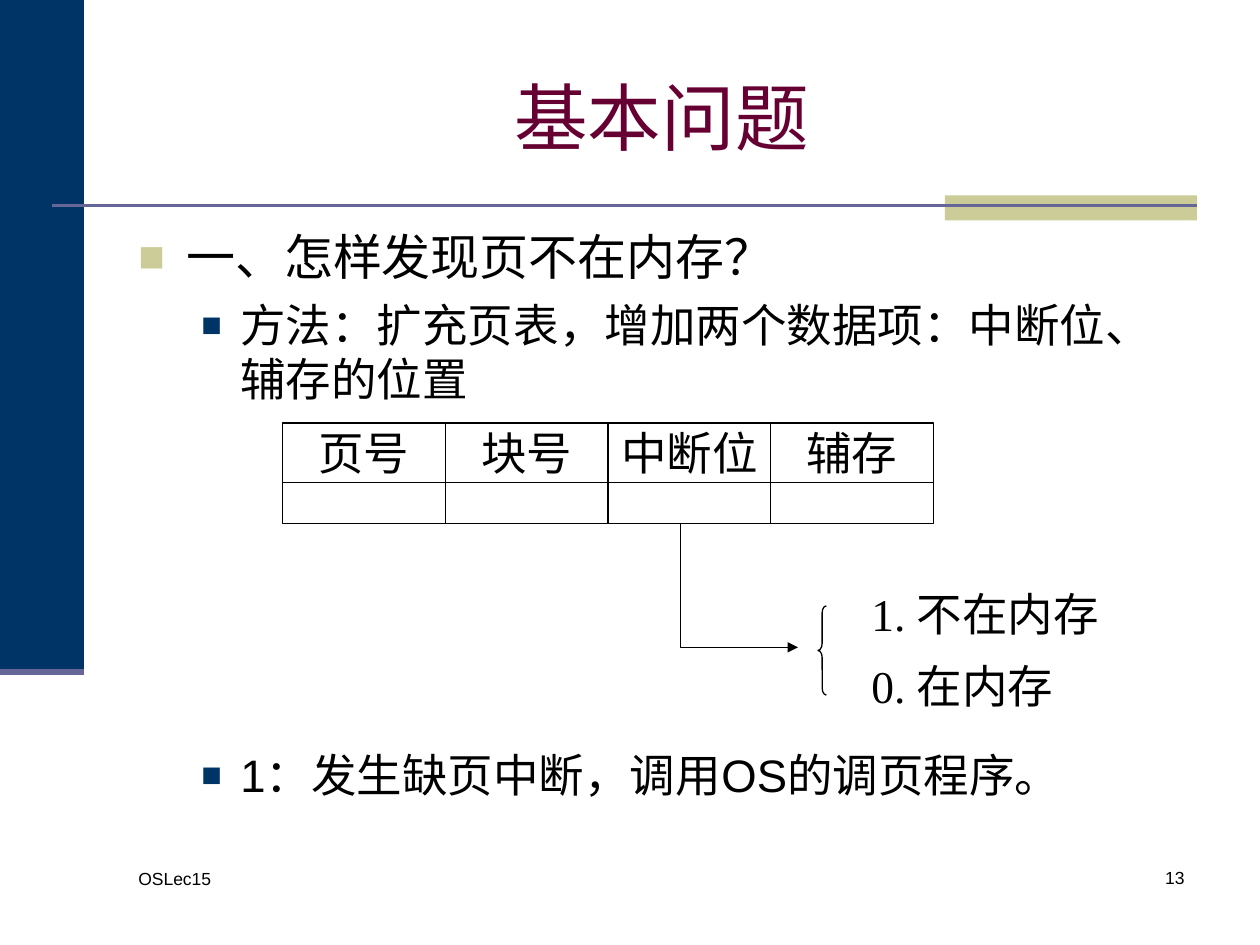
from lxml import etree
from pptx import Presentation, util as u
from pptx.dml.color import RGBColor
from pptx.enum import shapes as sh, text as tx
from pptx.oxml import parse_xml
from pptx.oxml.ns import nsdecls, qn

NAVY = RGBColor(0x00, 0x33, 0x66)
SAND = RGBColor(0xCC, 0xCC, 0x99)
SLATE = RGBColor(0x66, 0x66, 0x99)
WINE = RGBColor(0x66, 0x00, 0x33)
BLACK = RGBColor(0, 0, 0)
SANS, SERIF = "Arial", "Times New Roman"
LEFT, MID, RIGHT = tx.PP_ALIGN.LEFT, tx.PP_ALIGN.CENTER, tx.PP_ALIGN.RIGHT

# Grid of 120 columns by 90 rows
deck = Presentation()
deck.slide_width, deck.slide_height = u.Inches(10), u.Inches(7.5)
slide = deck.slides.add_slide(deck.slide_layouts[6])
draw = slide.shapes


def at(*cells):
    return [u.Inches(c / 12) for c in cells]


def write(para, text, size=26, font=SANS, color=BLACK, align=LEFT,
          gap=0, mark=None, share=100, indent=0, hang=0):
    para.alignment, para.space_before = align, u.Pt(gap)
    run = para.add_run()
    run.text = text
    run.font.size, run.font.name, run.font.color.rgb = u.Pt(size), font, color
    if mark is not None:
        props = para._p.get_or_add_pPr()
        props.set("marL", str(u.Inches(indent)))
        props.set("indent", str(-u.Inches(hang)))
        for part in (f'<a:buClr {nsdecls("a")}><a:srgbClr val="{mark}"/></a:buClr>',
                     f'<a:buSzPct {nsdecls("a")} val="{share * 1000}"/>',
                     f'<a:buFont {nsdecls("a")} typeface="Arial"/>',
                     f'<a:buChar {nsdecls("a")} char="■"/>'):
            props.append(parse_xml(part))


# Side band and title accent
for box, color in (((0, 0, 8, 64), NAVY), ((90, 18.6, 24, 2.4), SAND)):
    band = draw.add_shape(sh.MSO_SHAPE.RECTANGLE, *at(*box))
    band.shadow.inherit = False
    band.fill.solid()
    band.fill.fore_color.rgb = color
    band.line.fill.background()

# Rules under the title and the side band
for ends, width in (((5, 19.6, 114, 19.6), 1.5), ((0, 64, 8, 64), 3.5)):
    rule = draw.add_connector(sh.MSO_CONNECTOR.STRAIGHT, *at(*ends))
    rule.line.color.rgb, rule.line.width = SLATE, u.Pt(width)
    etree.SubElement(rule._element.spPr, qn("a:effectLst"))

# Footer, page number, title and the two values of the flag
top, mid = tx.MSO_ANCHOR.TOP, tx.MSO_ANCHOR.MIDDLE
for box, words, anchor, form in (
        ((12, 82.1, 26, 6), "OSLec15", top, dict(size=10)),
        ((89, 82, 25, 6), "13", top, dict(size=10, align=RIGHT)),
        ((12, 3.6, 102, 15), "基本问题", mid, dict(size=42, color=WINE, align=MID)),
        ((81.8, 56.5, 26, 3.8), "1. 不在内存", mid, dict(font=SERIF)),
        ((81.8, 63.4, 26, 3.8), "0. 在内存", mid, dict(font=SERIF))):
    frame = draw.add_textbox(*at(*box)).text_frame
    frame.word_wrap, frame.vertical_anchor = True, anchor
    write(frame.paragraphs[0], words, **form)

# Bulleted body, with room for the page table before the last point
body = draw.add_textbox(*at(12, 21, 102, 59.4)).text_frame
body.word_wrap = True
point = dict(mark=NAVY, share=75, indent=0.81, hang=0.31)
write(body.paragraphs[0], "一、怎样发现页不在内存？", size=28, gap=7,
      mark=SAND, share=90, indent=0.38, hang=0.38)
write(body.add_paragraph(), "方法：扩充页表，增加两个数据项：中断位、辅存的位置",
      gap=6.5, **point)
write(body.add_paragraph(), "1：发生缺页中断，调用OS的调页程序。", gap=195, **point)

# Page table boxes: a head over an empty entry
outlines = []
wide = 15.5
for col, head in enumerate(["页号", "块号", "中断位", "辅存"]):
    for y, high, words in ((40.3, 5.65, head), (45.95, 3.95, "")):
        cell = draw.add_shape(sh.MSO_SHAPE.RECTANGLE,
                              *at(26.9 + col * wide, y, wide, high))
        outlines.append(cell)
        if words:
            frame = cell.text_frame
            frame.word_wrap, frame.vertical_anchor = False, mid
            frame.margin_left = frame.margin_right = u.Inches(0.08)
            frame.margin_top = frame.margin_bottom = u.Inches(0.04)
            write(frame.paragraphs[0], words, font=SERIF, align=MID)

# Brace around the values, and the arrow from the flag column
brace = draw.add_shape(sh.MSO_SHAPE.LEFT_BRACE, *at(77.9, 57.7, 0.8, 8.5))
brace.adjustments[0] = 0.83
pen = draw.build_freeform(*at(64.8, 49.8))
pen.add_line_segments([at(64.8, 61.65), at(76, 61.65)], close=False)
arrow = pen.convert_to_shape()
for item in outlines + [brace, arrow]:
    item.shadow.inherit = False
    item.fill.background()
    item.line.color.rgb, item.line.width = BLACK, u.Pt(0.75)
etree.SubElement(arrow.line._get_or_add_ln(), qn("a:tailEnd"), type="triangle")

deck.save("out.pptx")
